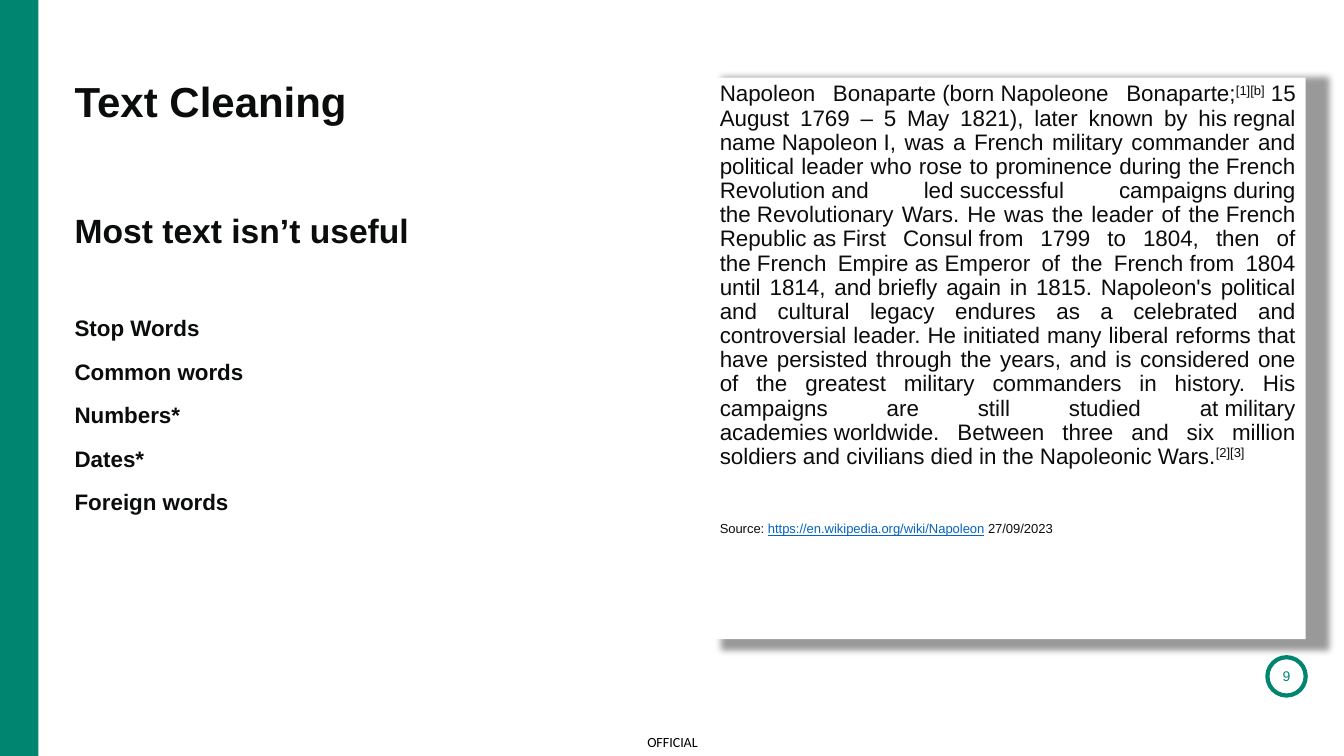
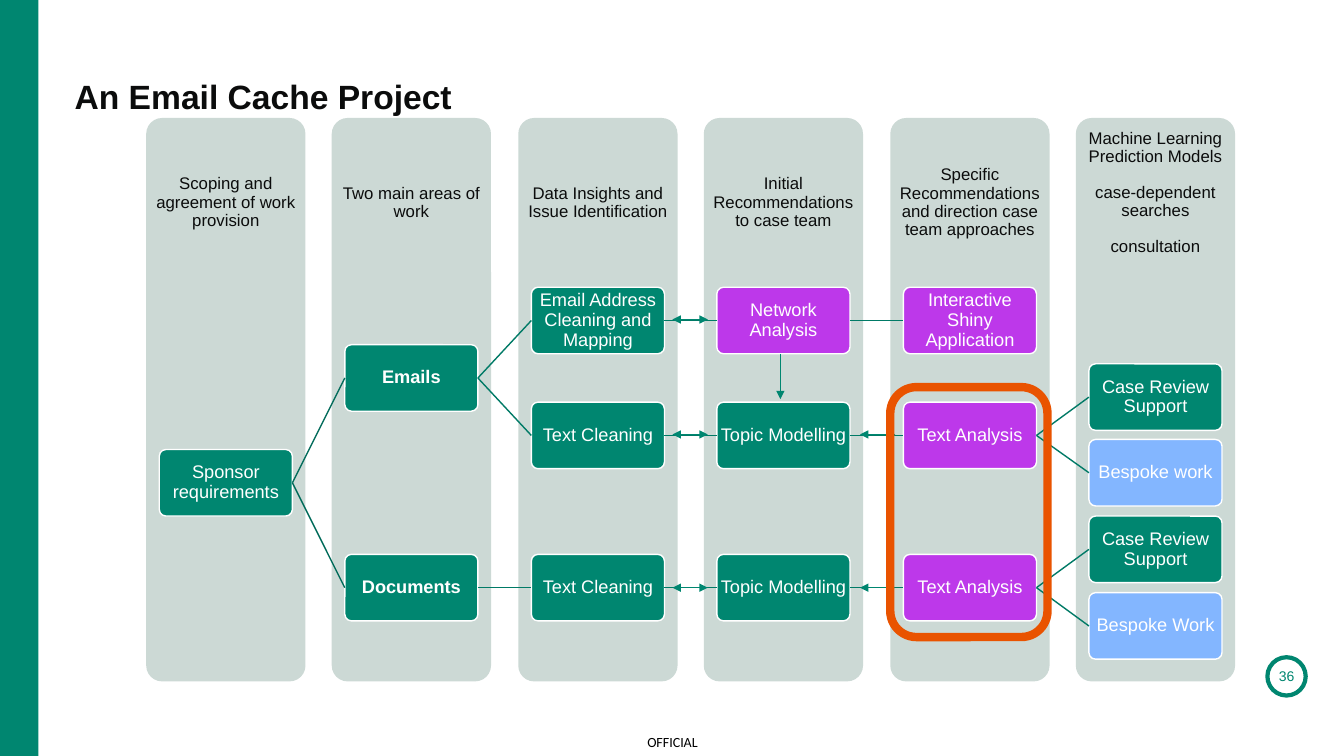
"""Build two slides on cleaning text and on the stages of an email cache project."""
from lxml.etree import SubElement
from pptx import Presentation
from pptx.dml.color import RGBColor
from pptx.enum.shapes import MSO_CONNECTOR, MSO_SHAPE
from pptx.enum.text import MSO_ANCHOR, PP_ALIGN
from pptx.oxml.ns import qn
from pptx.util import Pt

PX = 9144
HARD_SPACE = chr(160)
GREEN = RGBColor(0x00, 0x86, 0x70)
DARK_GREEN = RGBColor(0x00, 0x6B, 0x5A)
MID_GREEN = RGBColor(0x00, 0x7A, 0x66)
PALE_GREEN = RGBColor(0xCC, 0xD9, 0xD5)
PURPLE = RGBColor(0xBD, 0x38, 0xEA)
LIGHT_BLUE = RGBColor(0x83, 0xB6, 0xFF)
ORANGE = RGBColor(0xE9, 0x53, 0x00)
LINK_BLUE = RGBColor(0x05, 0x63, 0xC1)
INK = RGBColor(0x0B, 0x0C, 0x0C)
BLACK = RGBColor(0x00, 0x00, 0x00)
WHITE = RGBColor(0xFF, 0xFF, 0xFF)


def write(slide, place, text, preset=None, fill=None, outline=None, weight=1, corner=None,
          size=16, font="Arial", color=INK, bold=False, align=PP_ALIGN.LEFT,
          anchor=MSO_ANCHOR.TOP, spacing=1.0, gap=0, inset=(0, 0)):
    """Add a text box or shape; text is a string or paragraphs of runs, with ~ as hard space."""
    place = [length * PX for length in place]
    if preset is None:
        shape = slide.shapes.add_textbox(*place)
    else:
        shape = slide.shapes.add_shape(preset, *place)
        shape.shadow.inherit = False
        if corner is not None:
            shape.adjustments[0] = corner
        if fill is None:
            shape.fill.background()
        else:
            shape.fill.solid()
            shape.fill.fore_color.rgb = fill
        if outline is None:
            shape.line.fill.background()
        else:
            shape.line.color.rgb = outline
            shape.line.width = Pt(weight)
    frame = shape.text_frame
    frame.word_wrap = True
    frame.vertical_anchor = anchor
    frame.margin_left = frame.margin_right = inset[0] * PX
    frame.margin_top = frame.margin_bottom = inset[1] * PX
    if isinstance(text, str):
        text = [[(words, {})] for words in text.split("\n")]
    for index, runs in enumerate(text):
        paragraph = frame.add_paragraph() if index else frame.paragraphs[0]
        paragraph.alignment = align
        paragraph.line_spacing = spacing
        if index:
            paragraph.space_before = Pt(gap)
        for words, extra in runs:
            run = paragraph.add_run()
            run.text = words.replace("~", HARD_SPACE)
            run.font.name = font
            run.font.size = Pt(size)
            run.font.bold = bold
            run.font.color.rgb = extra.get("color", color)
            if extra.get("underline"):
                run.font.underline = True
            if extra.get("raised"):
                run._r.get_or_add_rPr().set("baseline", "30000")
    return shape


def draw_line(slide, start, end, color, weight, arrows=()):
    """Add a straight line with triangles at the named ends."""
    line = slide.shapes.add_connector(
        MSO_CONNECTOR.STRAIGHT, *[length * PX for length in (*start, *end)])
    line.line.color.rgb = color
    line.line.width = Pt(weight)
    for arrow in arrows:
        SubElement(line.line._get_or_add_ln(), qn(f"a:{arrow}"), type="triangle")
    SubElement(line._element.spPr, qn("a:effectLst"))
    return line


deck = Presentation()
deck.slide_width = 1333 * PX
deck.slide_height = 750 * PX

for number, title, title_size in [("9", "Text Cleaning", 30), ("36", "An Email Cache Project", 24)]:
    slide = deck.slides.add_slide(deck.slide_layouts[6])
    write(slide, (0, 0, 38, 750), "", preset=MSO_SHAPE.RECTANGLE, fill=GREEN)
    write(slide, (627, 721, 80, 29), "OFFICIAL", size=10, font="Calibri", color=BLACK,
          align=PP_ALIGN.CENTER, anchor=MSO_ANCHOR.MIDDLE, spacing=1.1)
    write(slide, (1257, 652, 38, 38), number, preset=MSO_SHAPE.OVAL, outline=GREEN, weight=3,
          size=10, color=GREEN, align=PP_ALIGN.CENTER, anchor=MSO_ANCHOR.MIDDLE)
    write(slide, (74, 75, 592, 50), title, size=title_size, bold=True)

cleaning, project = deck.slides

RAISED = {"raised": True}
biography = [
    ("Napoleon Bonaparte~(born~Napoleone Bonaparte;", {}),
    ("[1][b]", RAISED),
    ("~15 August 1769 – 5 May 1821), later known by his~regnal name~Napoleon~I, was a French "
     "military commander and political leader who rose to prominence during the~French "
     "Revolution~and led~successful campaigns~during the~Revolutionary Wars. He was the leader "
     "of the~French Republic~as~First Consul~from 1799 to 1804, then of the~French "
     "Empire~as~Emperor of the French~from 1804 until 1814, and~briefly again in 1815. "
     "Napoleon's political and cultural legacy endures as a celebrated and controversial leader. "
     "He initiated many liberal reforms that have persisted through the years, and is considered "
     "one of the greatest military commanders in history. His campaigns are still studied "
     "at~military academies~worldwide. Between three and six million soldiers and "
     "civilians~died~in the~Napoleonic Wars.", {}),
    ("[2][3]", RAISED),
]
source = [
    ("Source: ", RAISED),
    ("https://en.wikipedia.org/wiki/Napoleon",
     {"raised": True, "color": LINK_BLUE, "underline": True}),
    (" 27/09/2023", RAISED),
]
excerpt = write(cleaning, (704, 77, 591, 557), [biography, source], preset=MSO_SHAPE.RECTANGLE,
                fill=WHITE, align=PP_ALIGN.JUSTIFY, spacing=0.9, gap=37, inset=(10, 5))
shade = SubElement(excerpt._element.spPr.find(qn("a:effectLst")), qn("a:outerShdw"),
                   blurRad="63500", dist=str(12 * PX), dir="0", sx="102000", sy="102000",
                   algn="tl", rotWithShape="0")
shade_color = SubElement(shade, qn("a:srgbClr"), val="000000")
SubElement(shade_color, qn("a:alpha"), val="40000")

write(cleaning, (74, 204, 592, 41), "Most text isn’t useful", size=24, bold=True, spacing=1.1)
write(cleaning, (74, 309, 592, 366),
      "Stop Words\nCommon words\nNumbers*\nDates*\nForeign words",
      bold=True, spacing=1.1, gap=10)

STAGE_TOP, STAGE_WIDTH = 117, 158
stages = [
    ("Scoping and agreement of work provision", 168),
    ("Two main areas of work", 168),
    ("Data Insights and Issue Identification", 168),
    ("Initial Recommendations to case team", 168),
    ("Specific Recommendations and direction case team approaches", 168),
    ("Machine Learning Prediction Models\ncase-dependent searches\nconsultation", 149),
]
stage_lefts = [round(145 + 184.4 * index) for index in range(len(stages))]
for left, (heading, heading_height) in zip(stage_lefts, stages):
    write(project, (left, STAGE_TOP, STAGE_WIDTH, 559), "", preset=MSO_SHAPE.ROUNDED_RECTANGLE,
          fill=PALE_GREEN, corner=0.1)
    write(project, (left, STAGE_TOP, STAGE_WIDTH, heading_height), heading, size=12,
          align=PP_ALIGN.CENTER, anchor=MSO_ANCHOR.MIDDLE, spacing=0.9, gap=13, inset=(9, 9))

tasks = [
    ("sponsor", "Sponsor requirements", 0, 446, GREEN),
    ("emails", "Emails", 1, 342, GREEN),
    ("documents", "Documents", 1, 550, GREEN),
    ("addresses", "Email Address Cleaning and Mapping", 2, 285, GREEN),
    ("email cleaning", "Text Cleaning", 2, 399, GREEN),
    ("document cleaning", "Text Cleaning", 2, 550, GREEN),
    ("network", "Network Analysis", 3, 285, PURPLE),
    ("email topics", "Topic Modelling", 3, 399, GREEN),
    ("document topics", "Topic Modelling", 3, 550, GREEN),
    ("application", "Interactive Shiny Application", 4, 285, PURPLE),
    ("email analysis", "Text Analysis", 4, 399, PURPLE),
    ("document analysis", "Text Analysis", 4, 550, PURPLE),
    ("email review", "Case Review Support", 5, 361, GREEN),
    ("email bespoke", "Bespoke work", 5, 436, LIGHT_BLUE),
    ("document review", "Case Review Support", 5, 512, GREEN),
    ("document bespoke", "Bespoke Work", 5, 588, LIGHT_BLUE),
]
task_boxes = {}
for key, label, stage, top, fill in tasks:
    task_boxes[key] = write(
        project, (stage_lefts[stage] + 13, top, 132, 66), label,
        preset=MSO_SHAPE.ROUNDED_RECTANGLE, fill=fill, outline=WHITE, corner=0.1, size=13,
        color=WHITE, bold=stage == 1, align=PP_ALIGN.CENTER, anchor=MSO_ANCHOR.MIDDLE,
        spacing=0.9)

followers = {
    "sponsor": ["emails", "documents"],
    "emails": ["addresses", "email cleaning"],
    "documents": ["document cleaning"],
    "addresses": ["network"],
    "network": ["application"],
    "email cleaning": ["email topics"],
    "document cleaning": ["document topics"],
    "email topics": ["email analysis"],
    "document topics": ["document analysis"],
    "email analysis": ["email review", "email bespoke"],
    "document analysis": ["document review", "document bespoke"],
}
for earlier, later_tasks in followers.items():
    for later in later_tasks:
        link = draw_line(project, (0, 0), (0, 0),
                         DARK_GREEN if earlier == "sponsor" else MID_GREEN, 1)
        link.begin_connect(task_boxes[earlier], 3)
        link.end_connect(task_boxes[later], 1)

draw_line(project, (774, 351), (774, 396), GREEN, 0.5, ["tailEnd"])
for left, middle in [(667, 317), (667, 431), (667, 583), (853, 431), (853, 583)]:
    draw_line(project, (left, middle), (left + 35, middle), GREEN, 0.5, ["headEnd", "tailEnd"])

write(project, (883, 384, 156, 248), "", preset=MSO_SHAPE.ROUNDED_RECTANGLE,
      outline=ORANGE, weight=6)

deck.save("out.pptx")
